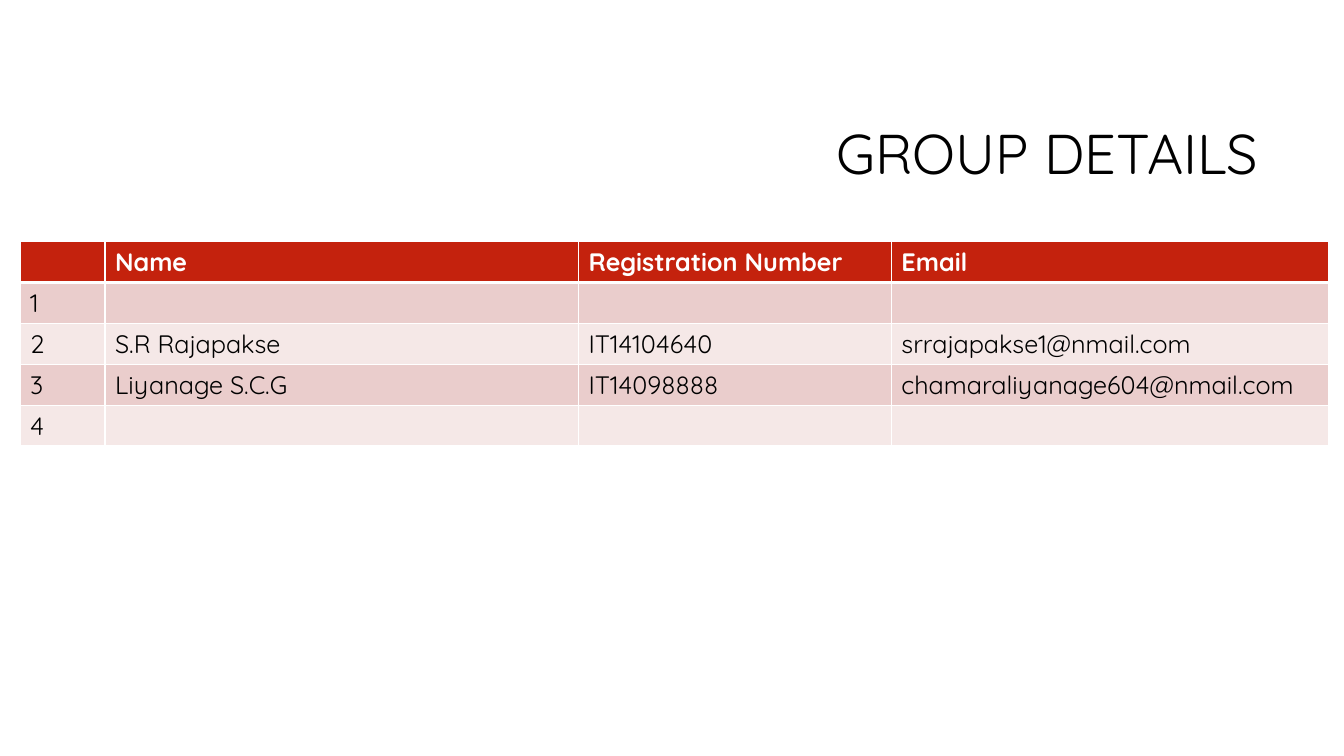
from dataclasses import dataclass

from lxml.etree import SubElement
from pptx import Presentation
from pptx.dml.color import RGBColor
from pptx.enum.text import MSO_ANCHOR as Anchor, PP_ALIGN as Align
from pptx.oxml.ns import qn
from pptx.slide import Slide
from pptx.table import _Cell as Cell
from pptx.text.text import _Paragraph as Paragraph
from pptx.util import Emu, Pt

PX = 9525
FONT = "Quicksand"
COLORS = {
    "black": "000000",
    "white": "FFFFFF",
    "header": "C4220D",
    "odd": "EACDCC",
    "even": "F5E8E7",
}
COLUMN_WIDTHS = (81, 451, 298, 416)
ROW_HEIGHT = 39


@dataclass(frozen=True)
class Member:
    number: str
    name: str = ""
    registration: str = ""
    email: str = ""

    def texts(self) -> tuple[str, ...]:
        return self.number, self.name, self.registration, self.email


HEADER = Member("", "Name", "Registration Number", "Email")
MEMBERS = (
    Member("1"),
    Member("2", "S.R Rajapakse", "IT14104640", "srrajapakse1@nmail.com"),
    Member("3", "Liyanage S.C.G", "IT14098888", "chamaraliyanage604@nmail.com"),
    Member("4"),
)


def px(length: int) -> Emu:
    return Emu(length * PX)


def color(name: str) -> RGBColor:
    return RGBColor.from_string(COLORS[name])


def set_font(paragraph: Paragraph, size: int, ink: str, bold: bool = False) -> None:
    font = paragraph.font
    font.name = FONT
    font.size = Pt(size)
    font.bold = bold
    font.color.rgb = color(ink)


def add_title(slide: Slide, text: str) -> None:
    shape = slide.shapes.add_textbox(px(304), px(81), px(904), px(135))
    frame = shape.text_frame
    frame.word_wrap = True
    frame.vertical_anchor = Anchor.MIDDLE
    paragraph = frame.paragraphs[0]
    paragraph.text = text
    paragraph.alignment = Align.RIGHT
    paragraph.line_spacing = 0.9
    set_font(paragraph, 40, "black")


def set_borders(cell: Cell, top: int, bottom: int) -> None:
    properties = cell._tc.get_or_add_tcPr()
    for side, width in (("L", 1), ("R", 1), ("T", top), ("B", bottom)):
        line = SubElement(properties, qn(f"a:ln{side}"), w=str(Pt(width)))
        fill = SubElement(line, qn("a:solidFill"))
        SubElement(fill, qn("a:srgbClr"), val=COLORS["white"])


def fill_cell(cell: Cell, text: str, row: int) -> None:
    is_header = row == 0
    set_borders(cell, top=3 if row == 1 else 1, bottom=3 if is_header else 1)
    cell.fill.solid()
    cell.fill.fore_color.rgb = color("header" if is_header else "odd" if row % 2 else "even")
    paragraph = cell.text_frame.paragraphs[0]
    if text:
        paragraph.text = text
    set_font(paragraph, 18, "white" if is_header else "black", is_header)


def add_member_table(slide: Slide) -> None:
    rows = (HEADER, *MEMBERS)
    table = slide.shapes.add_table(
        len(rows), len(COLUMN_WIDTHS),
        px(19), px(230), px(sum(COLUMN_WIDTHS)), px(ROW_HEIGHT * len(rows)),
    ).table
    for column, width in zip(table.columns, COLUMN_WIDTHS):
        column.width = px(width)
    for row, member in enumerate(rows):
        for column, text in enumerate(member.texts()):
            fill_cell(table.cell(row, column), text, row)


def main() -> None:
    presentation = Presentation()
    presentation.slide_width = px(1280)
    presentation.slide_height = px(720)
    slide = presentation.slides.add_slide(presentation.slide_layouts[6])
    add_title(slide, "GROUP DETAILS")
    add_member_table(slide)
    presentation.save("out.pptx")


if __name__ == "__main__":
    main()
